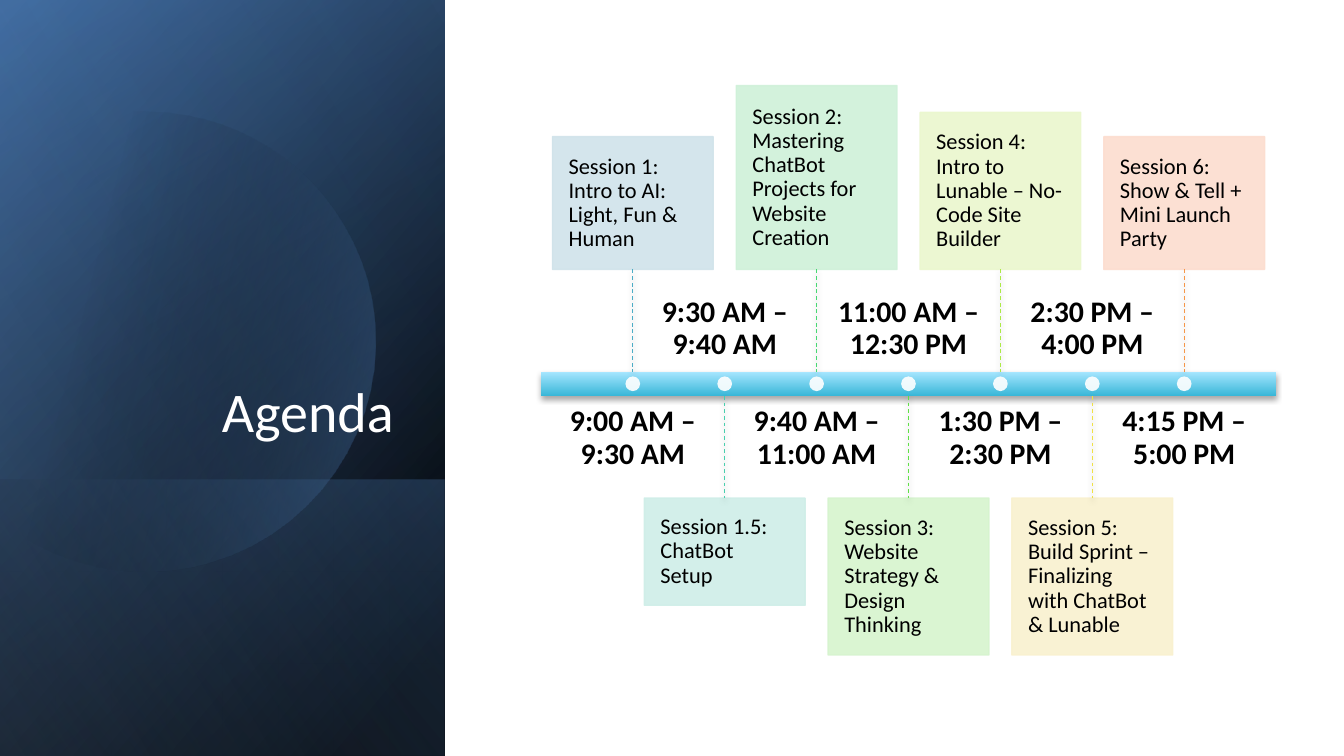
from dataclasses import dataclass
from typing import Any, NamedTuple

from lxml import etree
from pptx import Presentation
from pptx import util as u
from pptx.dml.color import RGBColor
from pptx.enum import dml, shapes, text
from pptx.oxml.ns import qn


@dataclass(frozen=True)
class Theme:
    font: str = "Calibri"
    title_size: float = 30
    time_size: float = 16
    session_size: float = 12
    ink: str = "000000"
    paper: str = "FFFFFF"
    navy: str = "376092"
    blue: str = "4F81BD"
    mist: str = "95B3D7"
    bar_dark: str = "39B7D8"
    bar_light: str = "A7E6FF"


class Stop(NamedTuple):
    position: int
    color: str
    opacity: int = 100


class Layer(NamedTuple):
    top: float  # share of slide height
    height: float  # share of slide height
    angle: int
    stops: tuple[Stop, ...]


class Session(NamedTuple):
    time: str
    topic: str
    rows: float
    card_color: str
    stem_color: str


THEME = Theme()
SLIDE_W = 10
SLIDE_H = SLIDE_W * 9 / 16
PANEL_W = 3.31
BAR_W, BAR_CENTER = 5.47, 6.76
BAR_LEFT = BAR_CENTER - BAR_W / 2

# Timeline grid: the bar spans eight columns, and its axis lies near row 15.
COL, ROW = BAR_W / 8, 0.19
AXIS = 15.03 * ROW
BAR_H, STEM_H = 0.95 * ROW, 4 * ROW
CARD_W, TIME_W = 1.75 * COL, 1.6 * COL
TIME_H, TIME_GAP = 2.7 * ROW, 0.4 * ROW
DOT = 0.16 * COL

LAYERS = (
    Layer(0, 1, 50, (Stop(8, THEME.ink), Stop(100, THEME.navy))),
    Layer(0, 1, 30, (Stop(0, THEME.ink, 0), Stop(99, THEME.blue, 46))),
    Layer(0.635, 0.365, 130, (Stop(2, THEME.blue, 29), Stop(100, THEME.ink, 30))),
)
SHEEN = Layer(0, 1, 120, (Stop(0, THEME.ink, 0), Stop(99, THEME.mist, 11)))
DISC_STOPS = (Stop(29, THEME.ink, 0), Stop(100, THEME.blue, 43))
DISC_START = (1.11, 0.83)
DISC_CURVES = (
    ((1.85, 0.84), (2.51, 1.33), (2.73, 2.07)),
    ((2.99, 2.98), (2.46, 3.93), (1.55, 4.19)),
    ((0.98, 4.35), (0.4, 4.21), (-0.02, 3.86)),
    ((-0.11, 3.77), (-0.11, 3.77), (-0.11, 3.77)),
    ((-0.11, 1.31), (-0.11, 1.31), (-0.11, 1.31)),
    ((0, 1.21), (0, 1.21), (0, 1.21)),
    ((0.17, 1.07), (0.38, 0.96), (0.6, 0.89)),
    ((0.77, 0.84), (0.95, 0.82), (1.11, 0.83)),
)

SESSIONS = (
    Session("9:00 AM – 9:30 AM", "Session 1: Intro to AI: Light, Fun & Human", 5.2, "D0E3EA", "4BACC6"),
    Session("9:30 AM – 9:40 AM", "Session 1.5: ChatBot Setup", 4.2, "CFEEE8", "49CFAE"),
    Session("9:40 AM – 11:00 AM", "Session 2: Mastering ChatBot Projects for Website Creation", 7.2, "CFF1D9", "47D872"),
    Session("11:00 AM – 12:30 PM", "Session 3: Website Strategy & Design Thinking", 6.15, "D6F4CE", "60E146"),
    Session("1:30 PM – 2:30 PM", "Session 4: Intro to Lunable – No-Code Site Builder", 6.15, "EBF7CE", "ACE946"),
    Session("2:30 PM – 4:00 PM", "Session 5: Build Sprint – Finalizing with ChatBot & Lunable", 6.15, "F9F1CF", "F0E146"),
    Session("4:15 PM – 5:00 PM", "Session 6: Show & Tell + Mini Launch Party", 5.2, "FCDDCF", "F79646"),
)


def apply(target: Any, values: dict[str, Any]) -> None:
    for name, value in values.items():
        setattr(target, name, value)


def rgb(color: str) -> RGBColor:
    return RGBColor.from_string(color)


def add_node(parent: Any, tag: str, **attributes: Any) -> Any:
    return etree.SubElement(parent, qn(tag), {key: str(val) for key, val in attributes.items()})


def add_color(parent: Any, color: str, opacity: int) -> None:
    add_node(add_node(parent, "a:srgbClr", val=color), "a:alpha", val=opacity * 1000)


def add_shadow(effects: Any) -> None:
    shadow = add_node(effects, "a:outerShdw", blurRad=u.Pt(3.1), dist=u.Pt(1.8), dir=90 * 60000, rotWithShape=0)
    add_color(shadow, THEME.ink, 35)


def fill_gradient(shape: Any, angle: int, stops: tuple[Stop, ...]) -> None:
    shape.fill.background()
    shape.line.fill.background()
    shape.shadow.inherit = False
    properties = shape.element.spPr
    gradient = etree.Element(qn("a:gradFill"), rotWithShape="1")
    stop_list = add_node(gradient, "a:gsLst")
    for stop in stops:
        add_color(add_node(stop_list, "a:gs", pos=stop.position * 1000), stop.color, stop.opacity)
    add_node(gradient, "a:lin", ang=angle * 60000, scaled=0)
    properties.replace(properties.find(qn("a:noFill")), gradient)


def add_preset(slide: Any, kind: Any, left: float, top: float, width: float, height: float) -> Any:
    return slide.shapes.add_shape(kind, *map(u.Inches, (left, top, width, height)))


def fill_solid(shape: Any, color: str, outlined: bool) -> None:
    """Fill at 90 % opacity, with a matching outline if asked for."""
    shape.shadow.inherit = False
    shape.fill.solid()
    shape.fill.fore_color.rgb = rgb(color)
    if outlined:
        shape.line.color.rgb = rgb(color)
        shape.line.width = u.Pt(0.75)
    else:
        shape.line.fill.background()
    for node in shape.element.spPr.iter(qn("a:srgbClr")):
        add_node(node, "a:alpha", val=90000)


def write(shape: Any, words: str, size: float, color: str, align: Any, anchor: Any,
          insets: tuple[float, float], bold: bool = False, spacing: float = 0.9) -> None:
    """Set the text of a shape; insets are horizontal and vertical."""
    frame = shape.text_frame
    across, down = map(u.Inches, insets)
    apply(frame, {"text": words, "word_wrap": True, "auto_size": text.MSO_AUTO_SIZE.NONE,
                  "vertical_anchor": anchor, "margin_left": across, "margin_right": across,
                  "margin_top": down, "margin_bottom": down})
    line = frame.paragraphs[0]
    apply(line, {"alignment": align, "line_spacing": spacing})
    apply(line.runs[0].font, {"name": THEME.font, "size": u.Pt(size), "bold": bold})
    line.runs[0].font.color.rgb = rgb(color)


def draw_layer(slide: Any, layer: Layer) -> None:
    """Draw a panel layer as a mirrored rectangle on its side, so its gradient turns too."""
    top, height = layer.top * SLIDE_H, layer.height * SLIDE_H
    shape = add_preset(slide, shapes.MSO_SHAPE.RECTANGLE, (PANEL_W - height) / 2,
                       top + (height - PANEL_W) / 2, height, PANEL_W)
    shape.rotation = 90
    shape.element.spPr.xfrm.set("flipH", "1")
    fill_gradient(shape, layer.angle, layer.stops)


def draw_disc(slide: Any, steps: int = 16, units: int = 1000) -> None:
    """Draw the curves as short segments, on a grid of so many units to the inch."""
    outline, start = [], DISC_START
    for first, second, end in DISC_CURVES:
        for t in (step / steps for step in range(1, steps + 1)):
            weights = ((1 - t) ** 3, 3 * t * (1 - t) ** 2, 3 * t * t * (1 - t), t ** 3)
            outline.append(tuple(units * sum(w * point[axis] for w, point in zip(weights, (start, first, second, end)))
                                 for axis in (0, 1)))
        start = end
    builder = slide.shapes.build_freeform(*(units * value for value in DISC_START), scale=u.Inches(1) / units)
    builder.add_line_segments(outline, close=True)
    fill_gradient(builder.convert_to_shape(), 14, DISC_STOPS)


def draw_session(slide: Any, index: int, session: Session) -> None:
    center = BAR_LEFT + (index + 1) * COL
    above = index % 2 == 0
    side = -1 if above else 1
    edge = AXIS + side * BAR_H / 2
    stem_end = edge + side * STEM_H
    height = session.rows * ROW

    card = add_preset(slide, shapes.MSO_SHAPE.RECTANGLE, center - CARD_W / 2,
                      stem_end - height if above else stem_end, CARD_W, height)
    fill_solid(card, session.card_color, outlined=True)
    write(card, session.topic, THEME.session_size, THEME.ink, text.PP_ALIGN.LEFT,
          text.MSO_ANCHOR.MIDDLE, (0.12, 0.12))

    stem = slide.shapes.add_connector(shapes.MSO_CONNECTOR.STRAIGHT,
                                      *map(u.Inches, (center, min(edge, stem_end), center, max(edge, stem_end))))
    apply(stem.line, {"width": u.Pt(0.5), "dash_style": dml.MSO_LINE.DASH})
    stem.line.color.rgb = rgb(session.stem_color)
    add_shadow(add_node(stem.element.spPr, "a:effectLst"))

    time_top = AXIS + BAR_H / 2 + TIME_GAP if above else AXIS - BAR_H / 2 - TIME_GAP - TIME_H
    time = slide.shapes.add_textbox(*map(u.Inches, (center - TIME_W / 2, time_top, TIME_W, TIME_H)))
    write(time, session.time, THEME.time_size, THEME.ink, text.PP_ALIGN.CENTER,
          text.MSO_ANCHOR.TOP if above else text.MSO_ANCHOR.BOTTOM, (0, 0), bold=True)

    dot = add_preset(slide, shapes.MSO_SHAPE.OVAL, center - DOT / 2, AXIS - DOT / 2, DOT, DOT)
    fill_solid(dot, THEME.paper, outlined=False)


def main() -> None:
    deck = Presentation()
    apply(deck, {"slide_width": u.Inches(SLIDE_W), "slide_height": u.Inches(SLIDE_H)})
    slide = deck.slides.add_slide(deck.slide_layouts[5])

    for layer in LAYERS:
        draw_layer(slide, layer)
    draw_disc(slide)
    draw_layer(slide, SHEEN)

    title = slide.shapes.title
    title.element.getparent().append(title.element)  # bring in front of the panel
    apply(title, dict(zip(("left", "top", "width", "height"), map(u.Inches, (0.48, 1.38, 2.55, 1.97)))))
    write(title, "Agenda", THEME.title_size, THEME.paper, text.PP_ALIGN.RIGHT,
          text.MSO_ANCHOR.BOTTOM, (0.1, 0.05), spacing=1.0)

    bar = add_preset(slide, shapes.MSO_SHAPE.RECTANGLE, BAR_LEFT, AXIS - BAR_H / 2, BAR_W, BAR_H)
    fill_gradient(bar, 270, (Stop(0, THEME.bar_dark), Stop(100, THEME.bar_light)))
    add_shadow(bar.element.spPr.find(qn("a:effectLst")))
    for index, session in enumerate(SESSIONS):
        draw_session(slide, index, session)
    deck.save("out.pptx")


if __name__ == "__main__":
    main()
